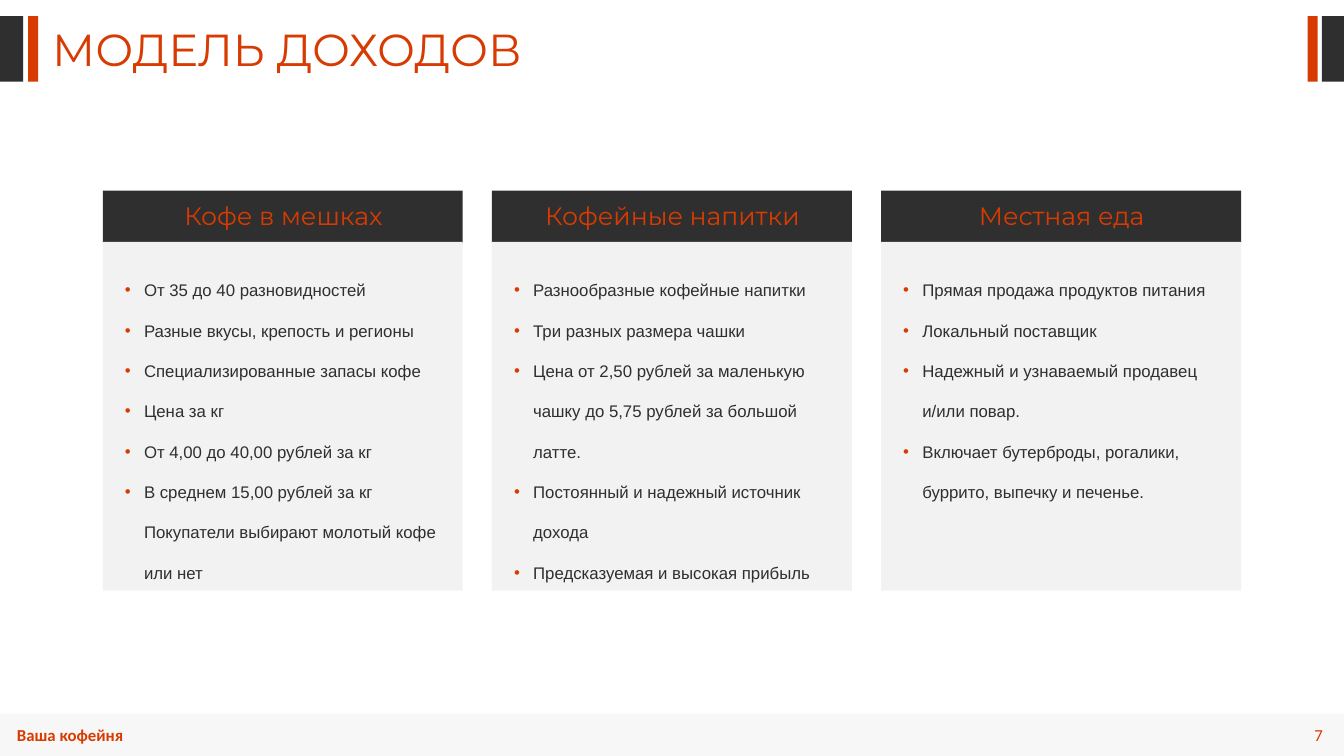
from lxml import etree
from pptx import Presentation
from pptx.dml.color import RGBColor
from pptx.enum.shapes import MSO_SHAPE
from pptx.enum.text import MSO_ANCHOR, PP_ALIGN
from pptx.oxml.ns import qn
from pptx.util import Inches, Pt

RECT = MSO_SHAPE.RECTANGLE
TOP, MIDDLE = MSO_ANCHOR.TOP, MSO_ANCHOR.MIDDLE
LEFT, CENTER, RIGHT = PP_ALIGN.LEFT, PP_ALIGN.CENTER, PP_ALIGN.RIGHT

ORANGE = RGBColor(0xD8, 0x3B, 0x01)
DARK = RGBColor(0x2F, 0x2F, 0x2F)
PALE = RGBColor(0xF2, 0xF2, 0xF2)
GRAY = RGBColor(0xE6, 0xE6, 0xE6)

CARDS = [
    ("Кофе в мешках", [
        "От 35 до 40 разновидностей",
        "Разные вкусы, крепость и регионы",
        "Специализированные запасы кофе",
        "Цена за кг",
        "От 4,00 до 40,00 рублей за кг",
        "В среднем 15,00 рублей за кг Покупатели выбирают молотый кофе или нет",
    ]),
    ("Кофейные напитки", [
        "Разнообразные кофейные напитки",
        "Три разных размера чашки",
        "Цена от 2,50 рублей за маленькую чашку до 5,75 рублей за большой латте.",
        "Постоянный и надежный источник дохода",
        "Предсказуемая и высокая прибыль",
    ]),
    ("Местная еда", [
        "Прямая продажа продуктов питания",
        "Локальный поставщик",
        "Надежный и узнаваемый продавец и/или повар.",
        "Включает бутерброды, рогалики, буррито, выпечку и печенье.",
    ]),
]


def add_rect(slide, x, y, w, h, color, alpha=None):
    """Draw a plain filled rectangle, optionally see-through."""
    shape = slide.shapes.add_shape(RECT, Inches(x), Inches(y), Inches(w), Inches(h))
    shape.shadow.inherit = False
    shape.fill.solid()
    shape.fill.fore_color.rgb = color
    shape.line.fill.background()
    if alpha is not None:
        tint = shape.fill._xPr.find(".//" + qn("a:srgbClr"))
        etree.SubElement(tint, qn("a:alpha"), val=str(alpha * 1000))


def add_bullet(para):
    """Give a paragraph an orange bullet and a hanging indent."""
    props = para._p.get_or_add_pPr()
    indent = Inches(0.19)
    props.set("marL", str(indent))
    props.set("indent", str(-indent))
    tint = etree.SubElement(props, qn("a:buClr"))
    etree.SubElement(tint, qn("a:srgbClr"), val=str(ORANGE))
    etree.SubElement(props, qn("a:buFont"), typeface="Arial")
    etree.SubElement(props, qn("a:buChar"), char="•")


def add_text(slide, x, y, w, h, lines, size=12, font="Calibri", color=ORANGE,
             bold=False, align=LEFT, anchor=TOP, space=1.0, bullet=False):
    """Write one paragraph per line in a text box."""
    box = slide.shapes.add_textbox(Inches(x), Inches(y), Inches(w), Inches(h))
    frame = box.text_frame
    frame.word_wrap = True
    frame.vertical_anchor = anchor
    for i, line in enumerate(lines):
        para = frame.add_paragraph() if i else frame.paragraphs[0]
        para.alignment = align
        para.line_spacing = space
        if bullet:
            add_bullet(para)
        run = para.add_run()
        run.text = line
        run.font.size = Pt(size)
        run.font.name = font
        run.font.bold = bold
        run.font.color.rgb = color


def add_card(slide, x, title, items):
    """Draw a card with a dark header and a bulleted body."""
    add_rect(slide, x, 1.89, 3.57, 0.52, DARK)
    add_text(slide, x + 0.12, 1.94, 3.34, 0.4, [title], size=18,
             font="Montserrat", align=CENTER)
    add_rect(slide, x, 2.4, 3.57, 3.46, PALE)
    add_text(slide, x + 0.12, 2.53, 3.34, 3.33, items, font="Arial",
             color=DARK, space=2.0, bullet=True)


def add_marks(slide):
    """Draw the dark and orange bars at both ends of the title."""
    for x, w, color in [(0, 0.23, DARK), (0.28, 0.1, ORANGE),
                        (12.97, 0.1, ORANGE), (13.11, 0.22, DARK)]:
        add_rect(slide, x, 0.16, w, 0.65, color)


def add_footer(slide):
    """Draw the footer band with its name and page number."""
    add_rect(slide, 0, 7.08, 13.33, 0.42, GRAY, alpha=30)
    add_text(slide, 12.35, 7.14, 0.87, 0.3, ["7"], align=RIGHT, anchor=MIDDLE)
    add_text(slide, 0.07, 7.14, 1.84, 0.3, ["Ваша кофейня"], bold=True)


def main():
    """Build the slide and save it."""
    deck = Presentation()
    deck.slide_width, deck.slide_height = Inches(13.33), Inches(7.5)
    slide = deck.slides.add_slide(deck.slide_layouts[6])
    add_marks(slide)
    add_footer(slide)
    add_text(slide, 0.42, 0.27, 6.67, 0.54, ["МОДЕЛЬ ДОХОДОВ"], size=32,
             font="Montserrat", space=0.8)
    for i, (title, items) in enumerate(CARDS):
        add_card(slide, 1.02 + i * 3.86, title, items)
    deck.save("out.pptx")


if __name__ == "__main__":
    main()
